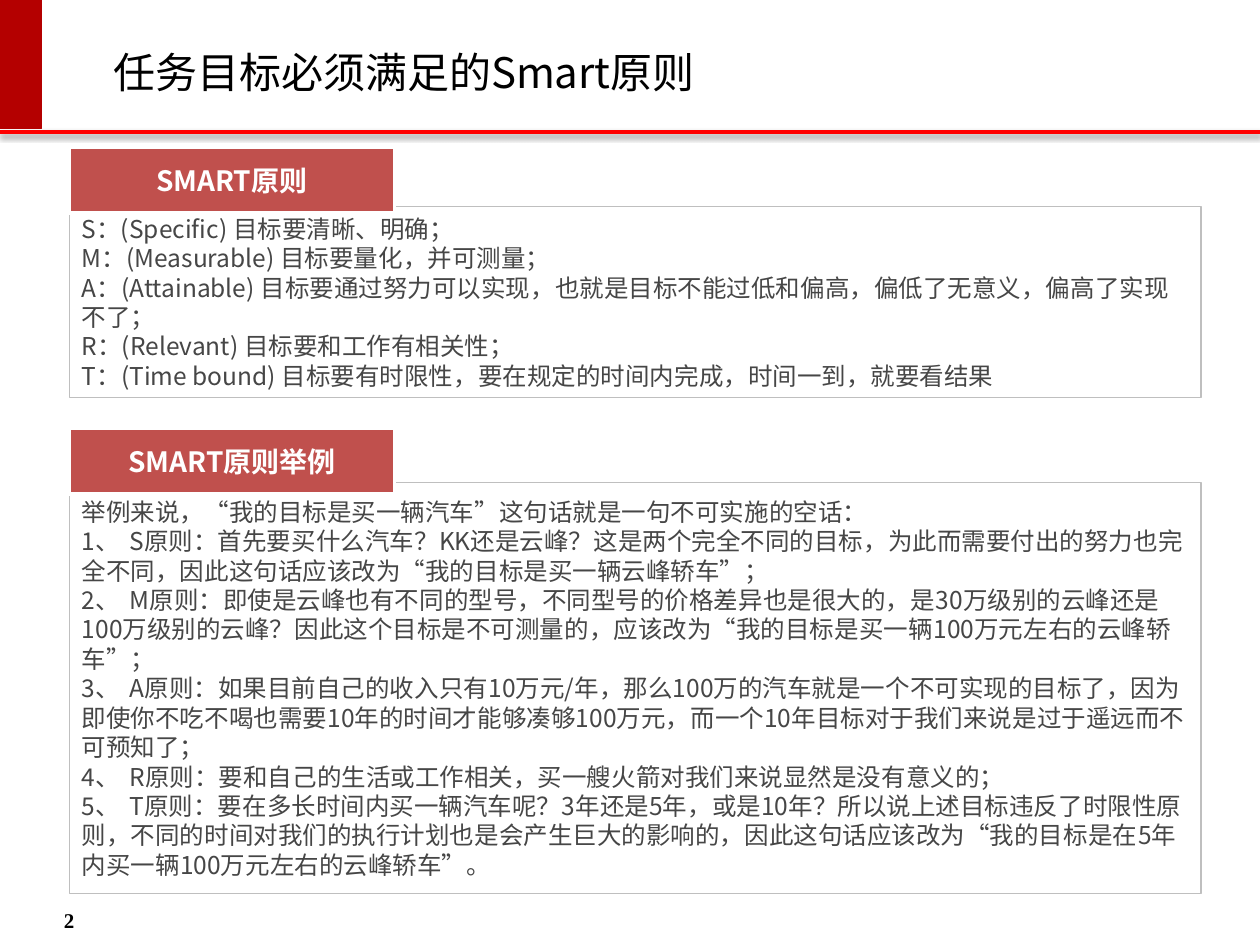
from dataclasses import dataclass

from lxml import etree
from pptx import Presentation
from pptx import util as u
from pptx.dml.color import RGBColor
from pptx.enum import lang, shapes, text
from pptx.oxml.ns import qn

RED = RGBColor(0xFF, 0x00, 0x00)
DARK_RED = RGBColor(0xB4, 0x00, 0x00)
BRICK = RGBColor(0xC0, 0x50, 0x4D)
GREY = RGBColor(0xBF, 0xBF, 0xBF)
INK = RGBColor(0x46, 0x46, 0x46)
BLACK = RGBColor(0x00, 0x00, 0x00)
WHITE = RGBColor(0xFF, 0xFF, 0xFF)
SANS = "Noto Sans CJK SC"
SERIF = "Times New Roman"
NBSP = "\u00a0"
LEFT = 1.4


@dataclass
class Style:
    size: float
    color: RGBColor
    font: str = SANS
    bold: bool = False
    align: text.PP_ALIGN = text.PP_ALIGN.LEFT


@dataclass
class Section:
    heading: str
    heading_top: float
    box_top: float
    box_height: float
    lines: list[list[str]]  # each line is a list of runs


TITLE = Style(24, BLACK)
NUMBER = Style(12, BLACK, SERIF, True, text.PP_ALIGN.RIGHT)
HEADING = Style(16, WHITE, bold=True, align=text.PP_ALIGN.CENTER)
BODY = Style(14, INK)

MEANINGS = [
    ("S", "Specific", "目标要清晰、明确；"),
    ("M", "Measurable", "目标要量化，并可测量；"),
    ("A", "Attainable", "目标要通过努力可以实现，也就是目标不能过低和偏高，"
     "偏低了无意义，偏高了实现不了；"),
    ("R", "Relevant", "目标要和工作有相关性；"),
    ("T", "Time bound", "目标要有时限性，要在规定的时间内完成，时间一到，就要看结果"),
]
EXAMPLES = [
    ("S", "首先要买什么汽车？KK还是云峰？这是两个完全不同的目标，为此而需要付出的努力"
     "也完全不同，因此这句话应该改为“我的目标是买一辆云峰轿车”；"),
    ("M", "即使是云峰也有不同的型号，不同型号的价格差异也是很大的，是30万级别的云峰还是"
     "100万级别的云峰？因此这个目标是不可测量的，应该改为“我的目标是买一辆100万元左右的云峰轿车”；"),
    ("A", "如果目前自己的收入只有10万元/年，那么100万的汽车就是一个不可实现的目标了，"
     "因为即使你不吃不喝也需要10年的时间才能够凑够100万元，而一个10年目标对于我们来说是"
     "过于遥远而不可预知了；"),
    ("R", "要和自己的生活或工作相关，买一艘火箭对我们来说显然是没有意义的；"),
    ("T", "要在多长时间内买一辆汽车呢？3年还是5年，或是10年？所以说上述目标违反了时限性原则，"
     "不同的时间对我们的执行计划也是会产生巨大的影响的，因此这句话应该改为"
     "“我的目标是在5年内买一辆100万元左右的云峰轿车”。"),
]
SECTIONS = [
    Section("SMART原则", 2.97, 4.17, 3.84,
            [[f"{key}：({word}){NBSP}{meaning}"] for key, word, meaning in MEANINGS]),
    Section("SMART原则举例", 8.64, 9.73, 8.28,
            [["举例来说，“我的目标是买一辆汽车”这句话就是一句不可实施的空话："]]
            + [[f"{i}、", NBSP, f"{NBSP}{key}原则：{example}"]
               for i, (key, example) in enumerate(EXAMPLES, 1)]),
]


def write(sp, lines: list[list[str]], style: Style) -> None:
    tf = sp.text_frame
    tf.word_wrap = True
    tf.vertical_anchor = text.MSO_ANCHOR.MIDDLE
    for i, runs in enumerate(lines):
        p = tf.add_paragraph() if i else tf.paragraphs[0]
        p.alignment = style.align
        f = p.font
        f.size, f.bold, f.name = u.Pt(style.size), style.bold, style.font
        f.color.rgb = style.color
        f.language_id = lang.MSO_LANGUAGE_ID.SIMPLIFIED_CHINESE
        latin = p._p.pPr.find(qn("a:defRPr")).find(qn("a:latin"))
        east = etree.Element(qn("a:ea"), typeface=style.font)
        latin.addnext(east)
        for content in runs:
            r = p.add_run()
            r.text = content
            if content == NBSP:  # narrow gap after the item number
                r.font.size = u.Pt(10.5)


def add_box(s, kind, left: float, top: float, width: float, height: float,
            fill: RGBColor | None, line: RGBColor, weight: float):
    sp = s.shapes.add_shape(kind, u.Cm(left), u.Cm(top), u.Cm(width), u.Cm(height))
    sp.shadow.inherit = False
    if fill is None:
        sp.fill.background()
    else:
        sp.fill.solid()
        sp.fill.fore_color.rgb = fill
    sp.line.color.rgb = line
    sp.line.width = u.Pt(weight)
    return sp


def add_label(s, left: float, top: float, width: float, height: float,
              content: str, style: Style) -> None:
    sp = s.shapes.add_textbox(u.Cm(left), u.Cm(top), u.Cm(width), u.Cm(height))
    write(sp, [[content]], style)


def add_rule(s, top: float, width: float) -> None:
    rule = s.shapes.add_connector(shapes.MSO_CONNECTOR.STRAIGHT,
                                  u.Cm(0), u.Cm(top), u.Cm(width), u.Cm(top))
    rule.line.color.rgb = RED
    rule.line.width = u.Pt(2.25)
    effects = etree.SubElement(rule._element.spPr, qn("a:effectLst"))
    shadow = etree.SubElement(effects, qn("a:outerShdw"), blurRad=str(u.Pt(3.1)),
                              dist=str(u.Pt(1.6)), dir="5400000", rotWithShape="0")
    color = etree.SubElement(shadow, qn("a:srgbClr"), val=str(BLACK))
    etree.SubElement(color, qn("a:alpha"), val="38000")


prs = Presentation()
prs.slide_width, prs.slide_height = u.Cm(25.4), u.Cm(19.05)
s = prs.slides.add_slide(prs.slide_layouts[6])

# Header and page number
add_rule(s, 2.67, 25.4)
add_box(s, shapes.MSO_SHAPE.RECTANGLE, 0, 0, 0.84, 2.59, DARK_RED, DARK_RED, 1)
add_label(s, 2.03, 0.74, 16.66, 1.42, "任务目标必须满足的Smart原则", TITLE)
add_label(s, 0.58, 18.03, 1.17, 1.02, "2", NUMBER)

# Text boxes, each with its heading over the top edge
for section in SECTIONS:
    box = add_box(s, shapes.MSO_SHAPE.RECTANGLE, LEFT, section.box_top,
                  22.81, section.box_height, None, GREY, 0.75)
    write(box, section.lines, BODY)
    box.text_frame.auto_size = text.MSO_AUTO_SIZE.SHAPE_TO_FIT_TEXT
    tab = add_box(s, shapes.MSO_SHAPE.ROUNDED_RECTANGLE, LEFT, section.heading_top,
                  6.55, 1.32, BRICK, WHITE, 2)
    tab.adjustments[0] = 0
    write(tab, [[section.heading]], HEADING)

prs.save("out.pptx")
